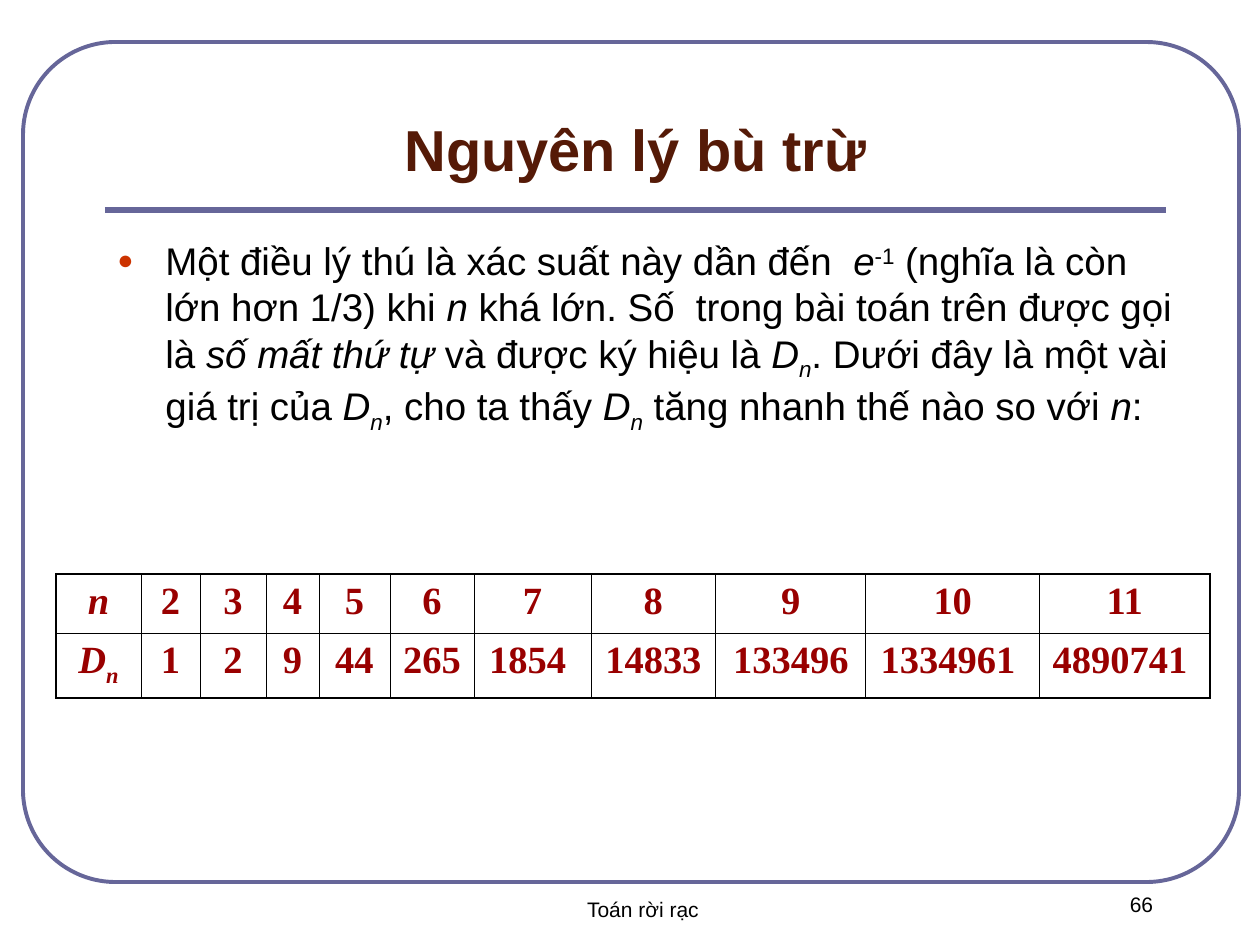
import pptx
import pptx.util
import pptx.dml.color
import pptx.enum.shapes
import pptx.enum.text
import pptx.oxml
import pptx.oxml.ns
from dataclasses import dataclass
from lxml import etree


@dataclass(frozen=True)
class Theme:
    sans: str = "Arial"
    serif: str = "Times New Roman"
    ink: str = "000000"
    heading: str = "551A07"
    frame: str = "666699"
    bullet: str = "CC3300"
    figures: str = "990000"
    title_size: int = 33
    body_size: int = 22
    footer_size: int = 12
    outer_rule: float = 1.08
    inner_rule: float = 0.45


THEME = Theme()
PX = 914400 // 126
ALIGN = pptx.enum.text.PP_ALIGN
SUPERSCRIPT, SUBSCRIPT = 30, -25

# A span is plain text or (text, italic, baseline shift in percent).
D_N = [("D", True, 0), ("n", True, SUBSCRIPT)]
TITLE = "Nguyên lý bù trừ"
BODY = [
    "Một điều lý thú là xác suất này dần đến  ", ("e", True, 0),
    ("-1", False, SUPERSCRIPT), " (nghĩa là còn lớn hơn 1/3) khi ",
    ("n", True, 0), " khá lớn. Số  trong bài toán trên được gọi là ",
    ("số mất thứ tự", True, 0), " và được ký hiệu là ", *D_N,
    ". Dưới đây là một vài giá trị của ", *D_N, ", cho ta thấy ", *D_N,
    " tăng nhanh thế nào so với ", ("n", True, 0), ":",
]
DERANGEMENTS = [
    [[("n", True, 0)], "2", "3", "4", "5", "6", "7", "8", "9", "10", "11"],
    [D_N, "1", "2", "9", "44", "265 ", "1854 ", "14833 ", "133496 ",
     "1334961 ", "4890741 "],
]
COLUMN_WIDTHS = [85, 59, 66, 53, 71, 84, 117, 125, 150, 174, 170]
ROW_HEIGHTS = [59, 65]
FOOTERS = [("66", (1062, 885, 159, 63)), ("Toán rời rạc", (330, 890, 626, 63))]


def rgb(value):
    return pptx.dml.color.RGBColor.from_string(value)


def emu(*lengths):
    return [length * PX for length in lengths]


def write(frame, spans, size, color, font=THEME.sans, bold=False, align=ALIGN.CENTER):
    """Fill the first paragraph of a text frame and return it."""
    frame.word_wrap = True
    para = frame.paragraphs[0]
    para.alignment = align
    para.font.name, para.font.bold = font, bold
    para.font.size = pptx.util.Pt(size)
    para.font.color.rgb = rgb(color)
    for item in [spans] if isinstance(spans, str) else spans:
        text, italic, shift = (item, False, 0) if isinstance(item, str) else item
        span = para.add_run()
        span.text = text
        if italic:
            span.font.italic = True
        if shift:
            span._r.get_or_add_rPr().set("baseline", str(shift * 1000))
    return para


def add_frame(page):
    frame = page.shapes.add_shape(
        pptx.enum.shapes.MSO_SHAPE.ROUNDED_RECTANGLE, *emu(23, 42, 1216, 840))
    frame.adjustments[0] = 0.11
    frame.shadow.inherit = False
    frame.fill.background()
    rule = page.shapes.add_connector(
        pptx.enum.shapes.MSO_CONNECTOR.STRAIGHT, *emu(105, 210, 1166, 210))
    etree.SubElement(rule._element.spPr, pptx.oxml.ns.qn("a:effectLst"))
    for shape, width in ((frame, 2.25), (rule, 3)):
        shape.line.color.rgb = rgb(THEME.frame)
        shape.line.width = pptx.util.Pt(width)


def add_title(page):
    title = page.shapes.title
    title.left, title.top, title.width, title.height = emu(105, 53, 1061, 136)
    frame = title.text_frame
    frame.auto_size = pptx.enum.text.MSO_AUTO_SIZE.NONE
    frame.vertical_anchor = pptx.enum.text.MSO_ANCHOR.BOTTOM
    write(frame, TITLE, THEME.title_size, THEME.heading, bold=True)


def add_body(page):
    box = page.shapes.add_textbox(*emu(105, 231, 1080, 312))
    props = box.text_frame.paragraphs[0]._p.get_or_add_pPr()
    props.set("marL", str(48 * PX))
    props.set("indent", str(-48 * PX))
    ns = pptx.oxml.ns.nsdecls("a")
    for markup in (
        f'<a:buClr {ns}><a:srgbClr val="{THEME.bullet}"/></a:buClr>',
        f'<a:buSzPct {ns} val="70000"/>',
        f'<a:buFont {ns} typeface="{THEME.sans}"/>',
        f'<a:buChar {ns} char="●"/>',
    ):
        props.append(pptx.oxml.parse_xml(markup))
    write(box.text_frame, BODY, THEME.body_size, THEME.ink, align=ALIGN.LEFT)


def set_borders(cell, outer_sides):
    props = cell._tc.get_or_add_tcPr()
    for index, (side, outer) in enumerate(zip("LRTB", outer_sides)):
        width = pptx.util.Pt(THEME.outer_rule if outer else THEME.inner_rule)
        props.insert(index, pptx.oxml.parse_xml(
            f'<a:ln{side} {pptx.oxml.ns.nsdecls("a")} w="{int(width)}"><a:solidFill>'
            f'<a:srgbClr val="{THEME.ink}"/></a:solidFill></a:ln{side}>'))


def add_derangements(page):
    last_row, last_column = len(ROW_HEIGHTS) - 1, len(COLUMN_WIDTHS) - 1
    table = page.shapes.add_table(
        last_row + 1, last_column + 1,
        *emu(56, 574, sum(COLUMN_WIDTHS), sum(ROW_HEIGHTS))).table
    table.first_row = table.horz_banding = False
    for column, width in zip(table.columns, COLUMN_WIDTHS):
        column.width = width * PX
    for row, height in zip(table.rows, ROW_HEIGHTS):
        row.height = height * PX
    for r, values in enumerate(DERANGEMENTS):
        for c, value in enumerate(values):
            cell = table.cell(r, c)
            cell.fill.background()
            write(cell.text_frame, value, THEME.body_size, THEME.figures,
                  THEME.serif, bold=True)
            set_borders(cell, (c == 0, c == last_column, r == 0, r == last_row))


def main():
    deck = pptx.Presentation()
    deck.slide_width, deck.slide_height = emu(1260, 945)
    page = deck.slides.add_slide(deck.slide_layouts[5])
    add_frame(page)
    for text, place in FOOTERS:
        box = page.shapes.add_textbox(*emu(*place))
        write(box.text_frame, text, THEME.footer_size, THEME.ink)
    add_title(page)
    add_body(page)
    add_derangements(page)
    deck.save("out.pptx")


if __name__ == "__main__":
    main()
